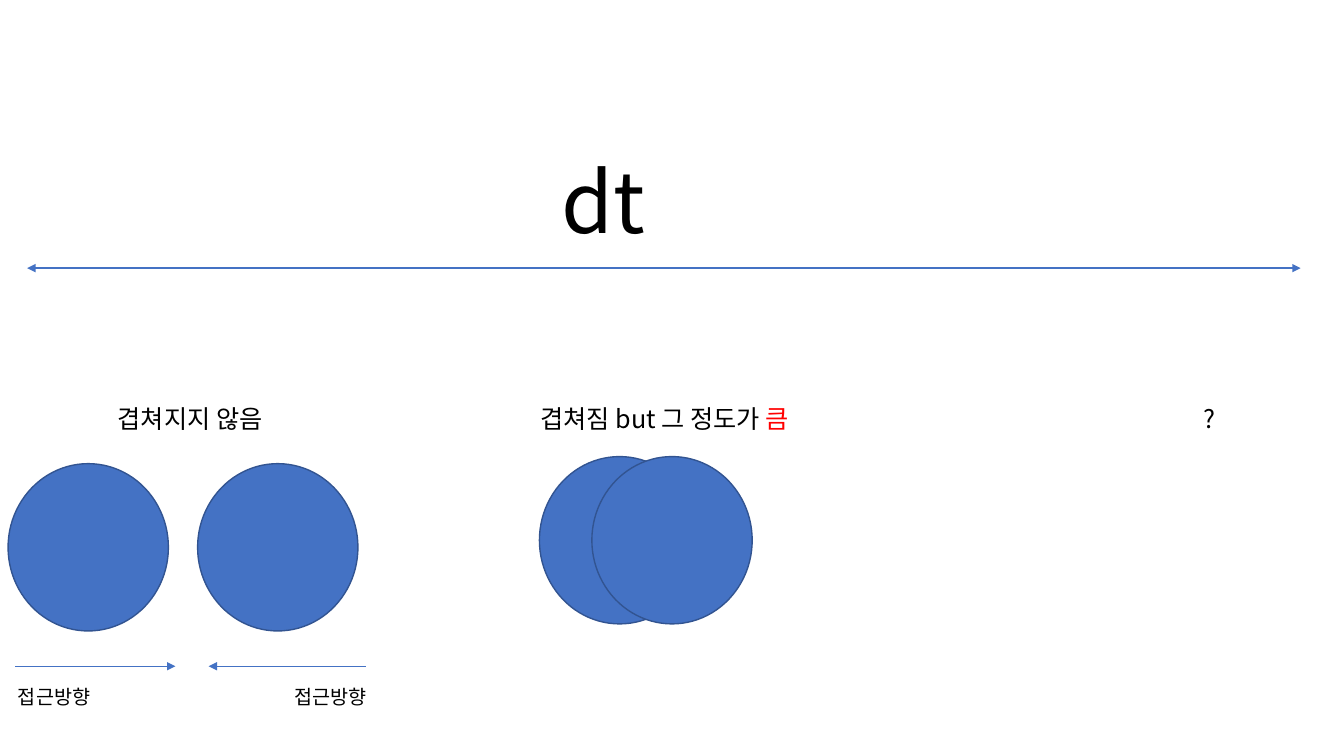
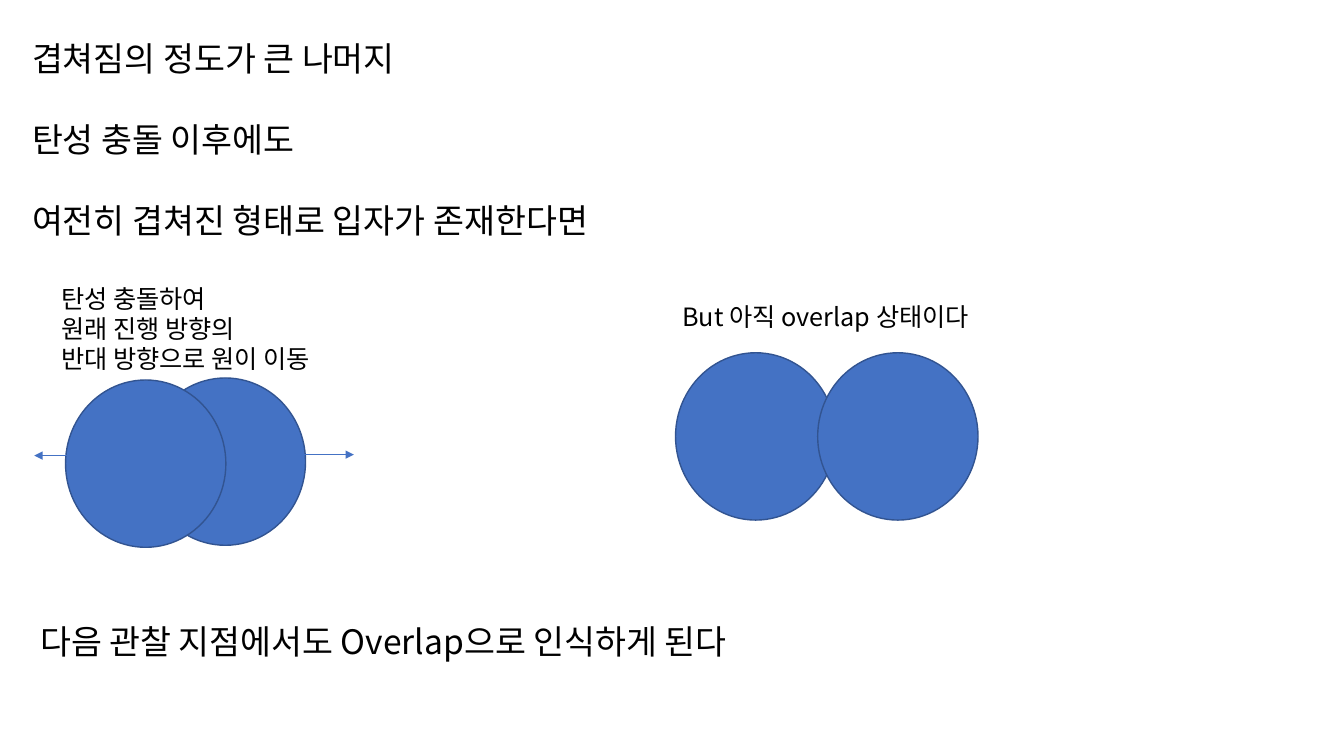
from dataclasses import dataclass
from lxml.etree import SubElement
from pptx import Presentation
from pptx.dml.color import RGBColor
from pptx.enum.shapes import MSO_CONNECTOR, MSO_SHAPE
from pptx.enum.text import MSO_AUTO_SIZE
from pptx.oxml.ns import qn
from pptx.util import Inches, Pt


@dataclass(frozen=True)
class Theme:
    font: str = "Noto Sans CJK KR"
    ink: str = "000000"
    alert: str = "FF0000"
    blue: str = "4472C4"
    edge: str = "325491"
    huge: int = 60
    head: int = 24
    body: int = 18
    small: int = 14
    lead: float = 1.2  # line height per type size


T = Theme()
BALL = (1.59, 1.66)


def color(code):
    return RGBColor.from_string(code)


def add_run(para, text, size, tint):
    run = para.add_run()
    run.text = text
    run.font.name = T.font
    run.font.size = Pt(size)
    run.font.color.rgb = color(tint)
    SubElement(run.font._element, qn("a:ea"), typeface=T.font)


def add_text(slide, text, left, top, width, size=T.body, gap=0, mark=""):
    """Place lines of text; gap is counted in lines, mark ends in red."""
    lines = text.split("\n")
    step = size * T.lead
    rows = len(lines) + gap * (len(lines) - 1)
    box = slide.shapes.add_textbox(Inches(left), Inches(top), Inches(width),
                                   Inches(rows * step / 72 + 0.1))
    frame = box.text_frame
    frame.word_wrap = True
    frame.auto_size = MSO_AUTO_SIZE.SHAPE_TO_FIT_TEXT
    for i, line in enumerate(lines):
        para = frame.paragraphs[0] if i == 0 else frame.add_paragraph()
        para.line_spacing = Pt(step)
        para.space_before = Pt(gap * step if i else 0)
        add_run(para, line, size, T.ink)
    if mark:
        add_run(para, mark, size, T.alert)


def add_arrow(slide, start, end, y, weight=0.5, both=False):
    line = slide.shapes.add_connector(MSO_CONNECTOR.STRAIGHT, Inches(start),
                                      Inches(y), Inches(end), Inches(y))
    line.line.color.rgb = color(T.blue)
    line.line.width = Pt(weight)
    props = line._element.spPr
    ends = ("headEnd", "tailEnd") if both else ("tailEnd",)
    for name in ends:
        SubElement(props.find(qn("a:ln")), qn("a:" + name), type="triangle")
    SubElement(props, qn("a:effectLst"))


def add_ball(slide, left, top):
    ball = slide.shapes.add_shape(MSO_SHAPE.OVAL, Inches(left), Inches(top),
                                  *map(Inches, BALL))
    ball.shadow.inherit = False
    ball.fill.solid()
    ball.fill.fore_color.rgb = color(T.blue)
    ball.line.color.rgb = color(T.edge)
    ball.line.width = Pt(1)


def add_pair(slide, left, top, shift, drop=0):
    """Two balls, the front one moved by shift and drop."""
    add_ball(slide, left, top)
    add_ball(slide, left + shift, top + drop)


# Time span over the stages
def add_span(slide, left, top, width):
    add_text(slide, "dt", left + 5.2, top, 2.96, size=T.huge)
    add_arrow(slide, left, left + width, top + 1.23, weight=1.5, both=True)


# Balls that approach each other
def add_near(slide, left, top):
    add_text(slide, "겹쳐지지 않음", left + 0.99, top, 2.03)
    add_pair(slide, left, top + 0.65, 1.88)
    for start, end in ((0.07, 1.66), (3.55, 1.99)):
        add_arrow(slide, left + start, left + end, top + 2.66)
    for shift in (0, 2.74):
        add_text(slide, "접근방향", left + shift, top + 2.8, 0.99, size=T.small)


# Balls that overlap deeply
def add_deep(slide, left, top):
    add_text(slide, "겹쳐짐 but 그 정도가 ", left, top, 3.38, mark="큼")
    add_pair(slide, left + 0.09, top + 0.58, 0.52)


# Balls that bounce apart
def add_bounce(slide, left, top):
    add_pair(slide, left + 0.93, top + 0.99, -0.79, drop=0.02)
    add_arrow(slide, left + 0.87, left - 0.17, top + 1.76)
    add_arrow(slide, left + 1.84, left + 3, top + 1.75)
    add_text(slide, "탄성 충돌하여\n원래 진행 방향의\n반대 방향으로 원이 이동",
             left, top, 2.99)


# Balls that still overlap
def add_still(slide, left, top):
    add_pair(slide, left + 0.03, top + 0.56, 1.41)
    add_text(slide, "But 아직 overlap 상태이다", left, top, 4.3)


def stage_slide(slide):
    row = 3.95
    add_span(slide, 0.27, 1.43, 12.63)
    add_near(slide, 0.08, row)
    add_deep(slide, 5.26, row)
    add_text(slide, "?", 11.84, row, 0.85)


def result_slide(slide):
    add_text(slide, "겹쳐짐의 정도가 큰 나머지\n탄성 충돌 이후에도\n"
             "여전히 겹쳐진 형태로 입자가 존재한다면",
             0.22, 0.33, 8.07, size=T.head, gap=1)
    add_bounce(slide, 0.51, 2.76)
    add_still(slide, 6.67, 2.94)
    add_text(slide, "다음 관찰 지점에서도 Overlap으로 인식하게 된다",
             0.3, 6.11, 8.07, size=T.head)


deck = Presentation()
deck.slide_width = Inches(13.33)
deck.slide_height = Inches(7.5)
blank = deck.slide_layouts[6]
for build in (stage_slide, result_slide):
    build(deck.slides.add_slide(blank))
deck.save("out.pptx")
